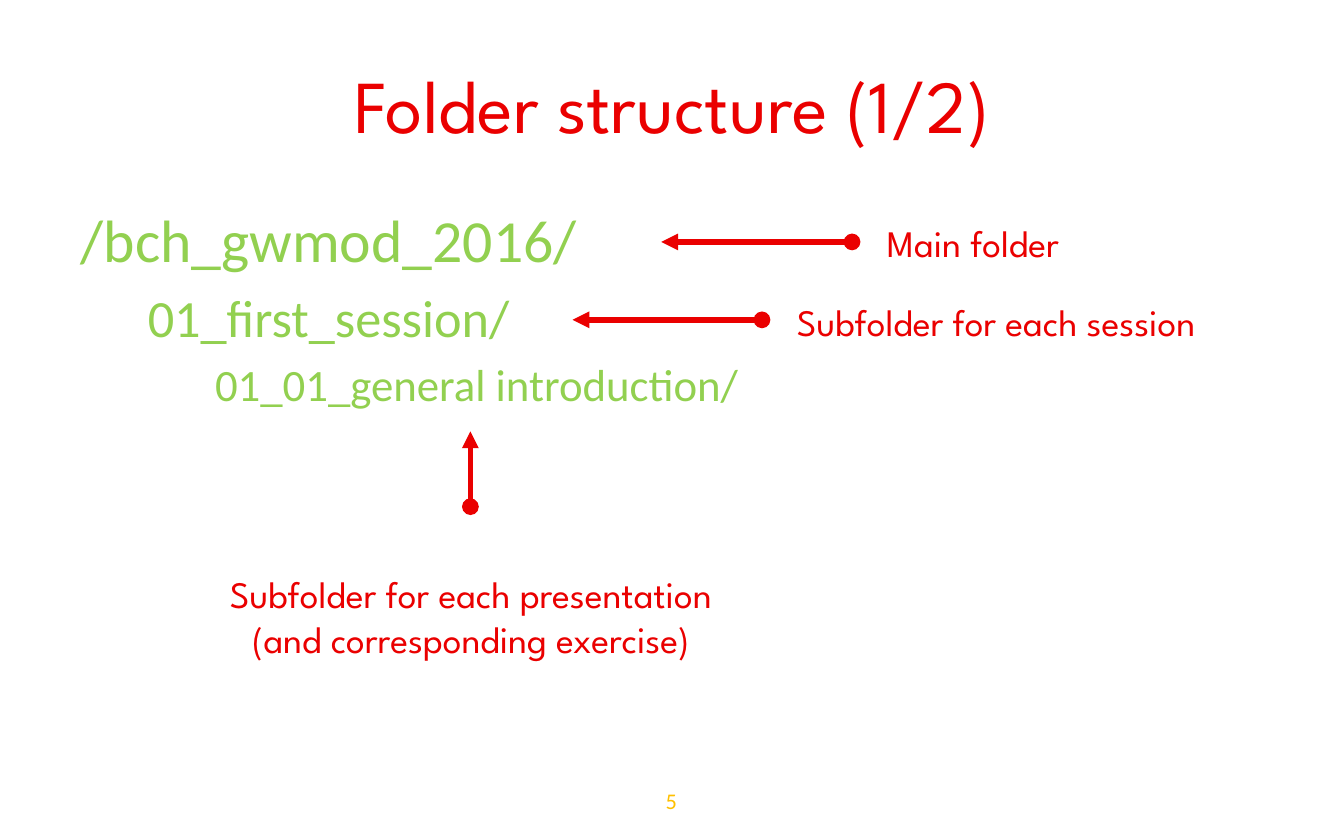
from lxml.etree import SubElement
from pptx import Presentation
from pptx.dml.color import RGBColor
from pptx.enum.shapes import MSO_CONNECTOR
from pptx.enum.text import MSO_ANCHOR, MSO_AUTO_SIZE, PP_ALIGN
from pptx.oxml.ns import qn
from pptx.util import Inches, Pt

HUE = {"red": "EA0000", "green": "92D050", "gold": "FFC000"}
HEAD = "League Spartan"
TITLE = "Folder structure (1/2)"
TREE = [
    ("/bch_gwmod_2016/", 32),
    ("01_first_session/", 28),
    ("01_01_general introduction/", 24),
]
NOTES = [
    ("Main folder", (6.5, 1.61, 2.05, 0.39), PP_ALIGN.LEFT),
    ("Subfolder for each session", (5.83, 2.2, 3.81, 0.39), PP_ALIGN.LEFT),
    ("Subfolder for each presentation\v(and corresponding exercise)",
     (1.46, 4.15, 4.09, 0.87), PP_ALIGN.CENTER),
]
ARROWS = [
    (6.34, 1.8, 4.92, 1.8),
    (5.67, 2.38, 4.26, 2.38),
    (3.5, 3.77, 3.5, 3.21),
]


def write(para, text, size=20, font=HEAD, hue="red", align=PP_ALIGN.LEFT):
    para.text = text
    para.alignment = align
    for run in para.runs:
        run.font.size = Pt(size)
        run.font.name = font
        run.font.color.rgb = RGBColor.from_string(HUE[hue])


def place(shape, box, anchor):
    shape.left, shape.top, shape.width, shape.height = map(Inches, box)
    frame = shape.text_frame
    frame.word_wrap = True
    frame.auto_size = MSO_AUTO_SIZE.NONE
    frame.vertical_anchor = anchor
    return frame


def label(text, box, **style):
    shape = slide.shapes.add_textbox(*map(Inches, box))
    frame = place(shape, box, MSO_ANCHOR.MIDDLE)
    write(frame.paragraphs[0], text, **style)


def arrow(ends):
    line = slide.shapes.add_connector(MSO_CONNECTOR.STRAIGHT, *map(Inches, ends))
    line.line.width = Pt(3)
    line.line.color.rgb = RGBColor.from_string(HUE["red"])
    stroke = line.line._get_or_add_ln()
    SubElement(stroke, qn("a:headEnd"), type="oval")
    SubElement(stroke, qn("a:tailEnd"), type="triangle")
    SubElement(line._element.spPr, qn("a:effectLst"))


deck = Presentation()
deck.slide_width, deck.slide_height = Inches(10), Inches(6.25)
slide = deck.slides.add_slide(deck.slide_layouts[1])

title, body = slide.placeholders
frame = place(title, (0.5, 0.25, 9, 1.04), MSO_ANCHOR.MIDDLE)
write(frame.paragraphs[0], TITLE, size=40, align=PP_ALIGN.CENTER)

frame = place(body, (0.5, 1.46, 9, 4.12), MSO_ANCHOR.TOP)
for level, (text, size) in enumerate(TREE):
    para = frame.add_paragraph() if level else frame.paragraphs[0]
    write(para, text, size=size, font="Calibri", hue="green")
    para.level = level
    para.space_before = Pt(size * 0.2)
    props = para._p.get_or_add_pPr()
    props.set("marL", str(Inches(level * 0.5)))
    props.set("indent", "0")
    SubElement(props, qn("a:buNone"))

label("5", (3.83, 5.79, 2.33, 0.33), size=12, font="Calibri", hue="gold",
      align=PP_ALIGN.CENTER)
for ends, (text, box, align) in zip(ARROWS, NOTES):
    arrow(ends)
    label(text, box, align=align)

deck.save("out.pptx")
